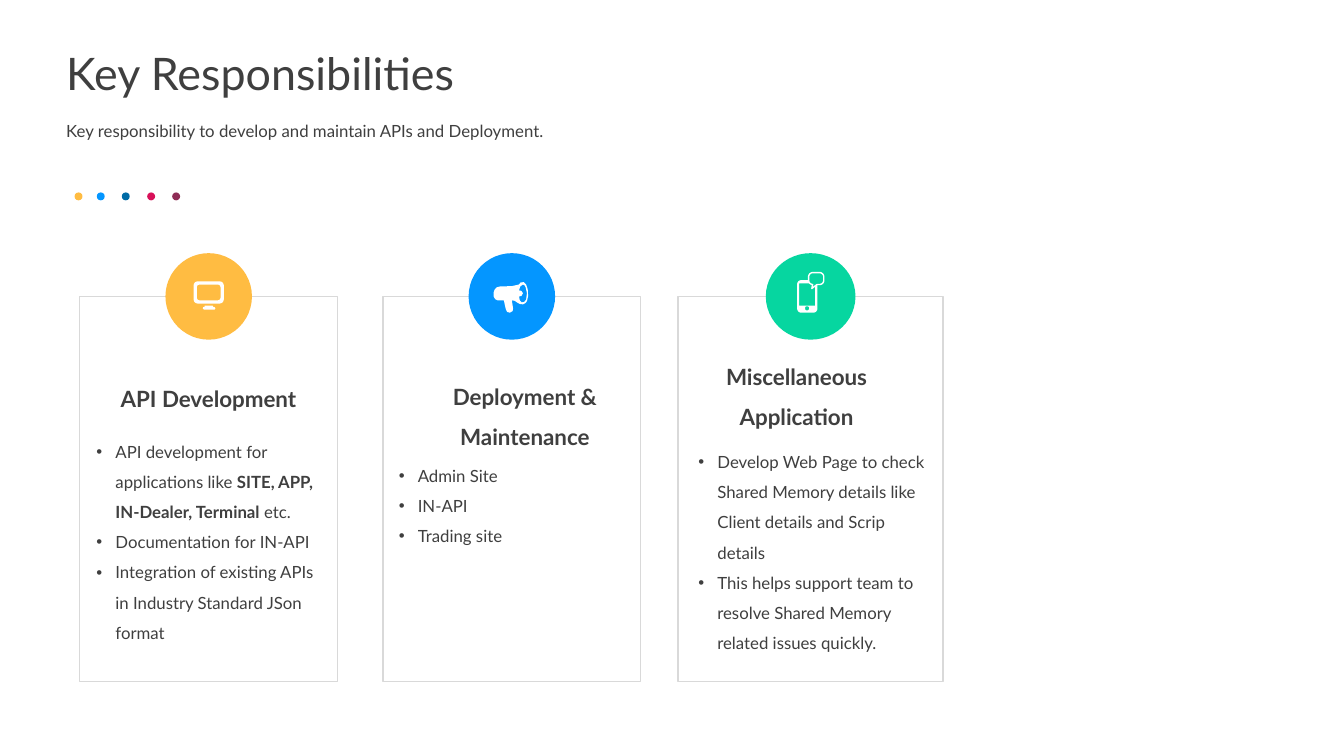
import math
from dataclasses import dataclass
from typing import Callable

from lxml import etree
from pptx import Presentation
from pptx import util as u
from pptx.dml import color
from pptx.enum import shapes, text
from pptx.oxml import ns

Points = list[tuple[float, float]]
Area = tuple[float, float, float, float]

COLORS = {
    "white": "FFFFFF", "ink": "3F3F3F", "border": "D9D9D9",
    "amber": "FFBC42", "blue": "0496FF", "navy": "006BA6",
    "red": "D81159", "plum": "8F2D56", "green": "06D6A0",
}
CARD_TOP, CARD_HEIGHT = 7.47, 9.7
CIRCLE_HEIGHT = 2.18
DOT_TOP, DOT_SIZE = 4.85, 0.2
DOTS = {"amber": 1.88, "blue": 2.44, "navy": 3.07, "red": 3.71, "plum": 4.34}


def rgb(name: str) -> color.RGBColor:
    """Look up a named colour."""
    return color.RGBColor.from_string(COLORS[name])


def paint(shape, fill: str, line: str | None = None) -> None:
    """Give a shape a flat fill and an optional 1 pt outline."""
    shape.shadow.inherit = False
    shape.fill.solid()
    shape.fill.fore_color.rgb = rgb(fill)
    if line:
        shape.line.color.rgb = rgb(line)
        shape.line.width = u.Pt(1)
    else:
        shape.line.fill.background()


def add_preset(page, kind, area: Area, fill: str, line: str | None = None) -> None:
    """Add a painted preset shape; the area is in centimetres."""
    paint(page.shapes.add_shape(kind, *map(u.Cm, area)), fill, line)


def add_outline(page, center: float, contours: list[Points],
                fill: str = "white", line: str | None = None) -> None:
    """Draw contours, in 0.01 cm around the centre of a card's circle."""
    first, *holes = contours
    builder = page.shapes.build_freeform(*first[0], scale=u.Cm(0.01))
    builder.add_line_segments(first[1:], close=True)
    for hole in holes:
        builder.move_to(*hole[0])
        builder.add_line_segments(hole[1:], close=True)
    paint(builder.convert_to_shape(u.Cm(center), u.Cm(CARD_TOP)), fill, line)


def rounded(left: float, top: float, right: float, bottom: float, radius: float) -> Points:
    """List a rounded rectangle's points, clockwise from its bottom left corner."""
    corners = [(left + radius, bottom - radius), (left + radius, top + radius),
               (right - radius, top + radius), (right - radius, bottom - radius)]
    points = []
    for index, (x, y) in enumerate(corners):
        for step in range(5):
            angle = math.radians(90 * (index + 1) + 22.5 * step)
            points.append((x + radius * math.cos(angle), y + radius * math.sin(angle)))
    return points


def draw_monitor(page, center: float, backdrop: str) -> None:
    """Draw a monitor on its stand."""
    add_outline(page, center, [rounded(-38, -38, 38, 18, 10), rounded(-30, -30, 30, 10, 7)])
    add_outline(page, center, [[(-10, 23), (10, 23), (11, 26), (15, 27), (17, 30), (15, 33),
                                (-12, 33), (-15, 30), (-14, 27), (-10, 26)]])


def draw_megaphone(page, center: float, backdrop: str) -> None:
    """Draw a megaphone with an open horn."""
    body = [(-46, 0), (-42, 7), (-36, 10), (-20, 10), (-18, 20), (-15, 33), (-12, 39),
            (-5, 41), (2, 37), (3, 30), (0, 10), (7, 11), (13, 15), (20, 19), (28, 20),
            (34, 17), (38, 12), (41, -1), (40, -18), (36, -30), (30, -36), (22, -35),
            (18, -30), (0, -26), (-30, -25), (-38, -23), (-43, -18), (-46, -10)]
    horn = [(18, -15), (21, -25), (28, -30), (32, -28), (35, -22), (38, -8), (36, 8),
            (31, 14), (25, 15), (20, 10), (18, 0), (24, -1), (28, -8), (24, -14)]
    add_outline(page, center, [body, horn])


def draw_phone(page, center: float, backdrop: str) -> None:
    """Draw a phone with a speech bubble over its corner."""
    screen = [(-29, -33), (11, -33), (11, 23), (-29, 23)]
    add_outline(page, center, [rounded(-34, -41, 17, 41, 9), screen, rounded(-14, 25, -4, 35, 5)])
    tail = [(16, -30), (3, -20), (5, -30)]
    add_outline(page, center, [rounded(-5, -60, 33, -30, 9) + tail], backdrop, "white")


def write(page, area: Area, lines: list[str], *, size: float = 12, bold: bool = False,
          spacing: float = 1.5, bullet: bool = False, center: bool = False,
          bottom: bool = False) -> None:
    """Add a text box; words between asterisks are bold."""
    box = page.shapes.add_textbox(*map(u.Cm, area))
    frame = box.text_frame
    frame.word_wrap = True
    frame.vertical_anchor = text.MSO_ANCHOR.BOTTOM if bottom else text.MSO_ANCHOR.TOP
    for index, line in enumerate(lines):
        para = frame.paragraphs[0] if index == 0 else frame.add_paragraph()
        para.line_spacing = spacing
        para.alignment = text.PP_ALIGN.CENTER if center else text.PP_ALIGN.LEFT
        if bullet:
            add_bullet(para)
        for part, words in enumerate(line.split("*")):
            span = para.add_run()
            span.text = words
            span.font.name = "Lato"
            span.font.size = u.Pt(size)
            span.font.bold = bold or part % 2 == 1
            span.font.color.rgb = rgb("ink")


def add_bullet(para) -> None:
    """Give a paragraph a round bullet with a hanging indent."""
    settings = para._p.get_or_add_pPr()
    indent = u.Cm(0.48)
    settings.set("marL", str(indent))
    settings.set("indent", str(-indent))
    etree.SubElement(settings, ns.qn("a:buFont")).set("typeface", "Arial")
    etree.SubElement(settings, ns.qn("a:buChar")).set("char", "•")


@dataclass
class Card:
    """One area of responsibility; lengths are in centimetres."""
    left: float
    width: float
    circle_width: float
    color: str
    draw_icon: Callable
    heading: str
    heading_area: Area
    duties: list[str]
    duties_area: Area


CARDS = [
    Card(2.01, 6.5, 2.18, "amber", draw_monitor,
         "API Development", (2.64, 9.25, 5.23, 1.14),
         ["API development for applications like *SITE, APP, IN-Dealer, Terminal* etc.",
          "Documentation for IN-API",
          "Integration of existing APIs in Industry Standard JSon format"],
         (2.18, 10.74, 6.17, 6.4)),
    Card(9.65, 6.5, 2.18, "blue", draw_megaphone,
         "Deployment & Maintenance", (10.92, 9.19, 4.62, 2.31),
         ["Admin Site", "IN-API", "Trading site"],
         (9.8, 11.35, 6.17, 3.33)),
    Card(17.09, 6.68, 2.26, "green", draw_phone,
         "Miscellaneous Application", (16.94, 8.69, 6.27, 2.31),
         ["Develop Web Page to check Shared Memory details like Client details and Scrip details",
          "This helps support team to resolve Shared Memory related issues quickly."],
         (17.35, 11.0, 6.35, 5.64)),
]


def add_card(page, card: Card) -> None:
    """Draw a card with its icon, heading and duties."""
    center = card.left + card.width / 2
    add_preset(page, shapes.MSO_SHAPE.RECTANGLE,
               (card.left, CARD_TOP, card.width, CARD_HEIGHT), "white", "border")
    add_preset(page, shapes.MSO_SHAPE.OVAL,
               (center - card.circle_width / 2, CARD_TOP - CIRCLE_HEIGHT / 2,
                card.circle_width, CIRCLE_HEIGHT), card.color)
    card.draw_icon(page, center, card.color)
    write(page, card.duties_area, card.duties, bullet=True)
    write(page, card.heading_area, [card.heading], size=16, bold=True, center=True)


def main() -> None:
    """Build and save the deck."""
    deck = Presentation()
    deck.slide_width, deck.slide_height = u.Cm(33.87), u.Cm(19.05)
    page = deck.slides.add_slide(deck.slide_layouts[6])
    for name, left in DOTS.items():
        add_preset(page, shapes.MSO_SHAPE.OVAL, (left, DOT_TOP, DOT_SIZE, DOT_SIZE), name)
    write(page, (1.42, 1.3, 31.01, 1.35), ["Key Responsibilities"],
          size=32, spacing=0.9, bottom=True)
    write(page, (1.42, 2.67, 31.01, 1.68),
          ["Key responsibility to develop and maintain APIs and Deployment."])
    for card in CARDS:
        add_card(page, card)
    deck.save("out.pptx")


main()
